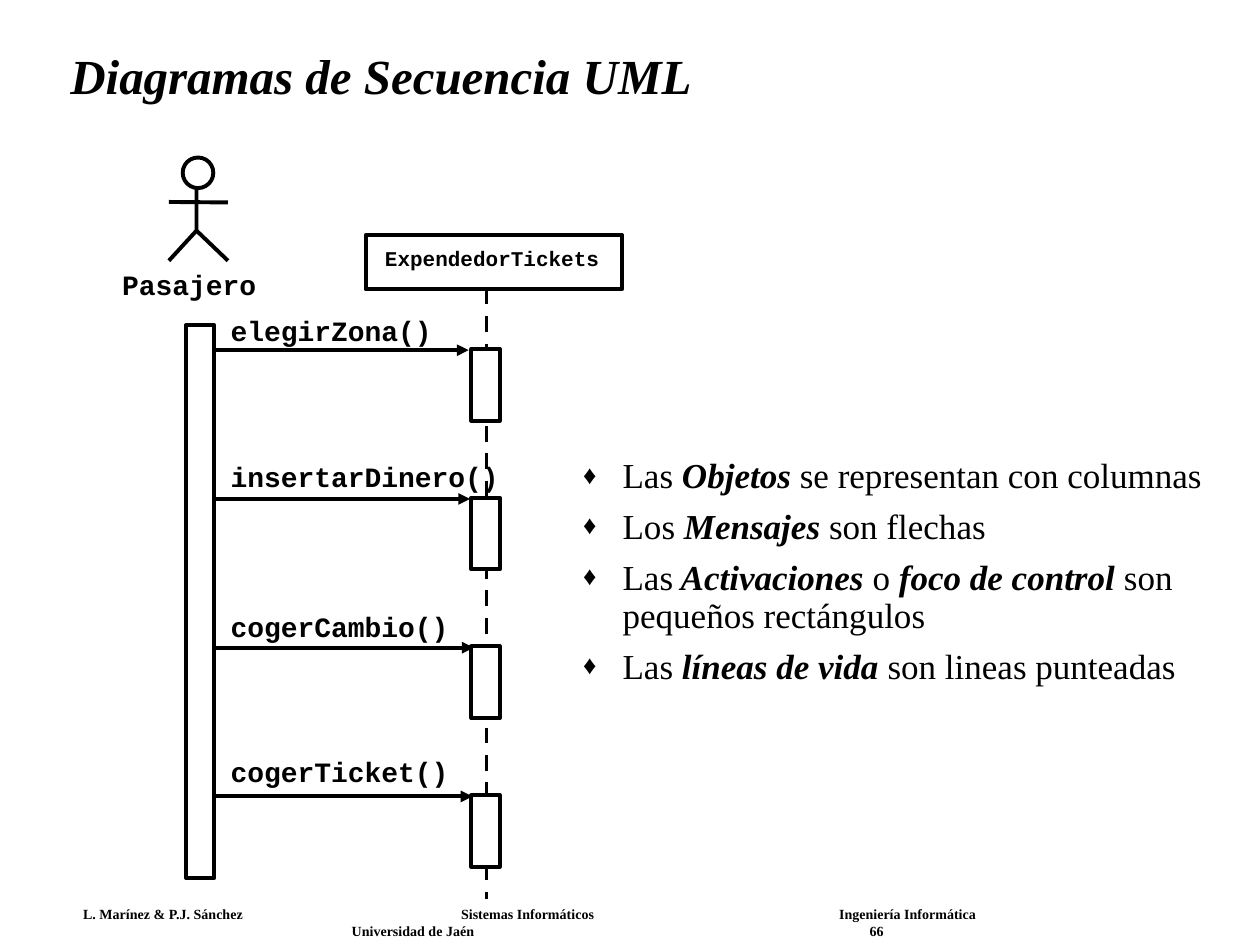
from lxml import etree
from pptx import Presentation
from pptx.dml.color import RGBColor
from pptx.enum import dml, shapes, text
from pptx.oxml import ns
from pptx.util import Pt

BLACK = RGBColor(0, 0, 0)
WHITE = RGBColor(255, 255, 255)
SERIF = "Times New Roman"
MONO = "Courier New"
LINE_WIDTH = 2.25

MESSAGES = [
    ("elegirZona()", 179.3, 267.8),
    ("insertarDinero()", 262.8, 268.6),
    ("cogerCambio()", 348.5, 270.7),
    ("cogerTicket()", 431.3, 270),
]
NOTES = [
    "Las* Objetos* se representan con columnas",
    "Los* Mensajes* son flechas",
    "Las* Activaciones* o *foco de control *son pequeños rectángulos",
    "Las* líneas de vida *son lineas punteadas",
]
FOOTER = [
    ("L. Marínez & P.J. Sánchez\tSistemas Informáticos\tIngeniería Informática", (216, 432)),
    ("\tUniversidad de Jaén\t66", (153.5, 449.5)),
]


def add_xml(parent, tag, **attrs):
    return etree.SubElement(parent, ns.qn(tag), attrs)


def write(p, content, size, font=SERIF, bold=False, italic=False, spacing=None, before=0):
    p.alignment = text.PP_ALIGN.LEFT
    p.space_before = Pt(before)
    if spacing:
        p.line_spacing = spacing
    for i, part in enumerate(content.split("*")):
        r = p.add_run()
        r.text = part
        r.font.name = font
        r.font.size = Pt(size)
        r.font.bold = bold or i % 2 == 1
        r.font.italic = italic or i % 2 == 1
        r.font.color.rgb = BLACK


def set_frame(tf, margin_x=0, margin_y=0, wrap=True):
    tf.word_wrap = wrap
    tf.auto_size = text.MSO_AUTO_SIZE.NONE
    tf.margin_left = tf.margin_right = Pt(margin_x)
    tf.margin_top = tf.margin_bottom = Pt(margin_y)


def add_box(s, x, y, w, h, **frame):
    tf = s.shapes.add_textbox(Pt(x), Pt(y), Pt(w), Pt(h)).text_frame
    set_frame(tf, **frame)
    return tf


def add_label(s, content, x, y, w, size=16):
    tf = add_box(s, x, y, w, size * 1.2, wrap=False)
    write(tf.paragraphs[0], content, size, MONO, bold=True)


def add_outline(s, kind, x, y, w, h):
    sp = s.shapes.add_shape(kind, Pt(x), Pt(y), Pt(w), Pt(h))
    sp.shadow.inherit = False
    sp.fill.solid()
    sp.fill.fore_color.rgb = WHITE
    sp.line.color.rgb = BLACK
    sp.line.width = Pt(LINE_WIDTH)


def add_line(s, x1, y1, x2, y2, arrow=False, dashed=False):
    cx = s.shapes.add_connector(
        shapes.MSO_CONNECTOR.STRAIGHT, Pt(x1), Pt(y1), Pt(x2), Pt(y2))
    cx.line.color.rgb = BLACK
    cx.line.width = Pt(LINE_WIDTH)
    if dashed:
        cx.line.dash_style = dml.MSO_LINE.DASH
    if arrow:
        add_xml(cx.line._get_or_add_ln(), "a:tailEnd", type="triangle")
    add_xml(cx._element.spPr, "a:effectLst")


def add_title(s, content):
    sp = s.shapes.title
    sp.left, sp.top, sp.width, sp.height = Pt(33), Pt(17.3), Pt(642), Pt(55.4)
    set_frame(sp.text_frame, 7.2, 3.6)
    sp.text_frame.vertical_anchor = text.MSO_ANCHOR.MIDDLE
    write(sp.text_frame.paragraphs[0], content, 28, bold=True, italic=True, spacing=0.9)


def add_actor(s, name):
    fb = s.shapes.build_freeform(Pt(112.3), Pt(102.2))
    fb.add_line_segments([(Pt(112.3), Pt(131.8)), (Pt(96.5), Pt(149))], close=False)
    sp = fb.convert_to_shape()
    sp.shadow.inherit = False
    sp.fill.background()
    sp.line.color.rgb = BLACK
    sp.line.width = Pt(LINE_WIDTH)
    add_line(s, 112.3, 131.8, 130.3, 149)
    add_line(s, 96.5, 115.4, 130.3, 115.7)
    add_outline(s, shapes.MSO_SHAPE.OVAL, 104.4, 90, 17.5, 17.5)
    add_label(s, name, 69.8, 152.6, 76.3)
    add_outline(s, shapes.MSO_SHAPE.RECTANGLE, 106.3, 185.8, 16.2, 316)


def add_object(s, name):
    add_outline(s, shapes.MSO_SHAPE.RECTANGLE, 209, 134.4, 146.5, 31)
    add_label(s, name, 220, 140.4, 122.4, 12)
    add_line(s, 278, 165, 278, 514, dashed=True)


def add_messages(s):
    for i, (name, label_y, end_x) in enumerate(MESSAGES):
        y = 199.4 + 85 * i
        add_line(s, 122, y + 0.7, end_x, y + 0.7, arrow=True)
        add_label(s, name, 131.8, label_y, 9.6 * len(name))
        add_outline(s, shapes.MSO_SHAPE.RECTANGLE, 269.4, y, 16.2, 41)


def add_notes(s):
    tf = add_box(s, 326.2, 258.5, 393.8, 175.7, margin_x=7.2, margin_y=3.6)
    for i, note in enumerate(NOTES):
        p = tf.add_paragraph() if i else tf.paragraphs[0]
        pPr = p._p.get_or_add_pPr()
        pPr.set("marL", str(Pt(22.5)))
        pPr.set("indent", str(-Pt(22.5)))
        add_xml(add_xml(pPr, "a:buClr"), "a:srgbClr", val=str(BLACK))
        add_xml(pPr, "a:buSzPct", val="75000")
        add_xml(pPr, "a:buFont", typeface=SERIF)
        add_xml(pPr, "a:buChar", char="♦")
        write(p, note, 20, spacing=0.9, before=7.5 if i else 0)


def add_footer(s):
    tf = add_box(s, 42, 514.8, 623, 24, margin_x=5.5, margin_y=2.9)
    for i, (content, stops) in enumerate(FOOTER):
        p = tf.add_paragraph() if i else tf.paragraphs[0]
        tabs = add_xml(p._p.get_or_add_pPr(), "a:tabLst")
        for stop in stops:
            add_xml(tabs, "a:tab", pos=str(Pt(stop)), algn="l")
        write(p, content, 8, bold=True)


def main():
    prs = Presentation()
    prs.slide_width, prs.slide_height = Pt(720), Pt(540)
    s = prs.slides.add_slide(prs.slide_layouts[5])
    add_footer(s)
    add_title(s, "Diagramas de Secuencia UML")
    add_notes(s)
    add_actor(s, "Pasajero")
    add_object(s, "ExpendedorTickets")
    add_messages(s)
    prs.save("out.pptx")


if __name__ == "__main__":
    main()
